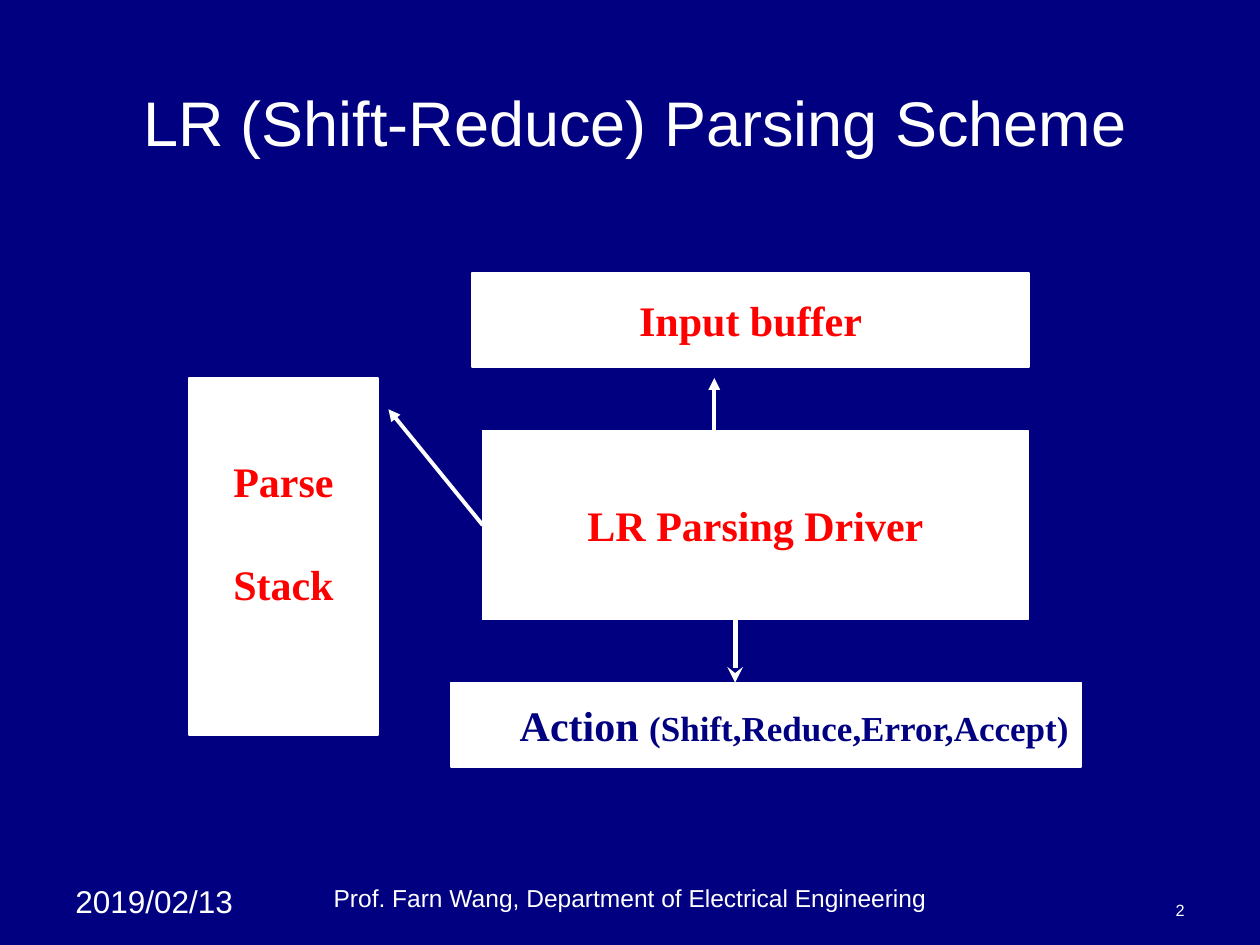
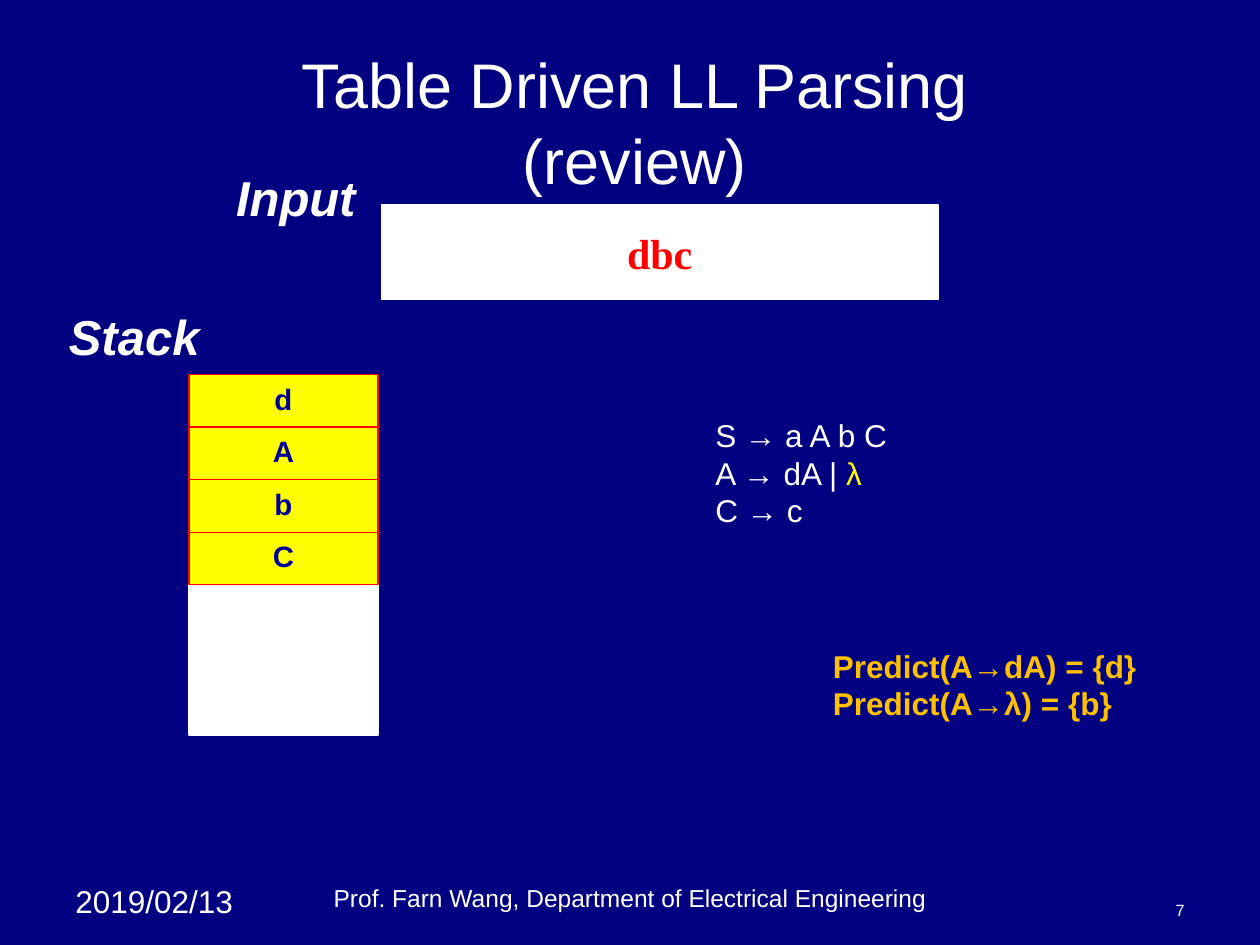
from collections import namedtuple

from lxml import etree
from pptx import Presentation
from pptx import util as u
from pptx.dml.color import RGBColor
from pptx.enum import shapes, text
from pptx.oxml import ns

NAVY = RGBColor(0x00, 0x00, 0x80)
INK = RGBColor(0x00, 0x00, 0x99)
WHITE = RGBColor(0xFF, 0xFF, 0xFF)
RED = RGBColor(0xFF, 0x00, 0x00)
YELLOW = RGBColor(0xFF, 0xFF, 0x00)
AMBER = RGBColor(0xFF, 0xC0, 0x00)
SANS = "Arial"
SERIF = "Times New Roman"
LEFT, CENTER, RIGHT = text.PP_ALIGN.LEFT, text.PP_ALIGN.CENTER, text.PP_ALIGN.RIGHT
TOP, MIDDLE, BOTTOM = text.MSO_ANCHOR.TOP, text.MSO_ANCHOR.MIDDLE, text.MSO_ANCHOR.BOTTOM

Box = namedtuple("Box", "left top width height")
Style = namedtuple("Style", "size font color bold italic", defaults=(False, False))

TITLE = Style(36, SANS, WHITE)
BLOCK = Style(24, SERIF, RED, True)
CELL = Style(16.8, SANS, INK, True)
BODY = Style(18, SANS, WHITE)
HEADING = Style(28, SANS, WHITE, True, True)
SLIDE_BOX = Box(0, 0, 25.4, 19.05)
STACK = Box(3.81, 7.62, 3.81, 7.2)


def inside(area, left, top, width, height):
    return Box(area.left + left, area.top + top, width, height)


def lengths(box):
    return [u.Cm(value) for value in box]


def add_run(paragraph, wording, style):
    run = paragraph.add_run()
    run.text = wording
    font = run.font
    font.size = u.Pt(style.size)
    font.name = style.font
    font.bold = style.bold
    font.italic = style.italic
    font.color.rgb = style.color


def write(frame, paragraphs, align=LEFT, anchor=TOP, wrap=False):
    frame.word_wrap = wrap
    frame.auto_size = text.MSO_AUTO_SIZE.NONE
    frame.vertical_anchor = anchor
    for index, runs in enumerate(paragraphs):
        paragraph = frame.add_paragraph() if index else frame.paragraphs[0]
        paragraph.alignment = align
        for wording, style in runs:
            add_run(paragraph, wording, style)


def add_text(slide, box, paragraphs, **layout):
    shape = slide.shapes.add_textbox(*lengths(box))
    write(shape.text_frame, paragraphs, **layout)


def add_rectangle(slide, box, fill=WHITE, line=WHITE, width=1):
    shape = slide.shapes.add_shape(shapes.MSO_SHAPE.RECTANGLE, *lengths(box))
    shape.shadow.inherit = False
    shape.fill.solid()
    shape.fill.fore_color.rgb = fill
    shape.line.color.rgb = line
    shape.line.width = u.Pt(width)
    return shape


def add_block(slide, box, paragraphs, align=CENTER):
    shape = add_rectangle(slide, box)
    write(shape.text_frame, paragraphs, align, MIDDLE)
    return shape


def add_arrow(slide, area, start, end, width=2.25, head="triangle"):
    points = [u.Cm(area[axis] + point[axis]) for point in (start, end) for axis in (0, 1)]
    arrow = slide.shapes.add_connector(shapes.MSO_CONNECTOR.STRAIGHT, *points)
    arrow.line.color.rgb = WHITE
    arrow.line.width = u.Pt(width)
    etree.SubElement(arrow.line._get_or_add_ln(), ns.qn("a:tailEnd"), type=head)
    etree.SubElement(arrow._element.spPr, ns.qn("a:effectLst"))
    return arrow


def add_footer(slide, area, number):
    small = BODY._replace(size=9.3)
    add_text(slide, inside(area, 1.27, 0, 4.01, 1.02), [[("2019/02/13", BODY)]])
    add_text(slide, inside(area, 5.82, 0.15, 13.77, 0.71),
             [[("Prof. Farn Wang, Department of Electrical Engineering", BODY._replace(size=14))]],
             align=CENTER, anchor=BOTTOM, wrap=True)
    add_text(slide, inside(area, 18.21, 0.33, 5.92, 0.69), [[(number, small)]],
             align=RIGHT, anchor=BOTTOM, wrap=True)


def add_titled_slide(presentation, title_lines, number):
    slide = presentation.slides.add_slide(presentation.slide_layouts[5])
    title = slide.shapes.title
    title.left, title.top, title.width, title.height = lengths(Box(1.47, 1.27, 22.66, 2.34))
    write(title.text_frame, [[]], CENTER, MIDDLE, True)
    paragraph = title.text_frame.paragraphs[0]
    for index, line in enumerate(title_lines):
        if index:
            paragraph.add_line_break()
        add_run(paragraph, line, TITLE)
    add_footer(slide, Box(0, 17.65, 25.4, 1.4), number)
    return slide


def add_parse_stack(slide, box):
    stack = add_block(slide, box, [[("Parse", BLOCK)], [("Stack", BLOCK)]])
    stack.text_frame.margin_bottom = u.Cm(1.09)
    stack.text_frame.paragraphs[1].space_before = u.Pt(30)


def add_driver_flow(slide, area):
    add_block(slide, inside(area, 0.42, 0, 11.22, 1.9), [[("Input buffer", BLOCK)]])
    driver = add_block(slide, inside(area, 0.63, 3.18, 11, 3.81), [[("LR Parsing Driver", BLOCK)]])
    action = BLOCK._replace(color=NAVY)
    add_block(slide, inside(area, 0, 8.26, 12.7, 1.7),
              [[("Action ", action), ("(Shift,Reduce,Error,Accept)", action._replace(size=20))]],
              RIGHT)
    to_stack = add_arrow(slide, area, (0.63, 5.08), (-1.27, 2.75))
    to_stack.begin_connect(driver, 1)
    add_arrow(slide, area, (5.3, 3.18), (5.3, 2.12))
    add_arrow(slide, area, (5.72, 6.99), (5.72, 8.26), 3, "stealth")


def add_symbol_stack(slide, box, symbols):
    add_rectangle(slide, box)
    height = 1.06
    for index, symbol in enumerate(symbols):
        cell = add_rectangle(slide, inside(box, 0, index * height - 0.07, box.width, height),
                             YELLOW, RED, 0.75)
        write(cell.text_frame, [[(symbol, CELL)]], CENTER, wrap=True)
    add_text(slide, inside(box, -2.67, -1.57, 3.12, 1.45), [[("Stack", HEADING)]])


def add_input(slide, box):
    add_block(slide, box, [[("dbc", BLOCK)]])
    add_text(slide, inside(box, -3.18, -0.89, 2.92, 1.45), [[("Input", HEADING)]])


def add_grammar(slide, area):
    add_text(slide, inside(area, 0, 0, 4.04, 2.54),
             [[("S → a A b C", BODY)],
              [("A → dA | ", BODY), ("λ", BODY._replace(color=YELLOW))],
              [("C → c", BODY)]])
    predict = BODY._replace(color=AMBER, bold=True)
    add_text(slide, inside(area, 2.37, 4.65, 6.63, 1.78),
             [[("Predict(A→dA) = {d}", predict)], [("Predict(A→λ) = {b}", predict)]])


def build_scheme_slide(presentation):
    slide = add_titled_slide(presentation, ["LR (Shift-Reduce) Parsing Scheme"], "2")
    add_parse_stack(slide, STACK)
    add_driver_flow(slide, Box(9.1, 5.5, 12.7, 9.96))


def build_review_slide(presentation):
    slide = add_titled_slide(presentation, ["Table Driven LL Parsing", "(review)"], "7")
    add_symbol_stack(slide, STACK, "dAbC")
    add_input(slide, Box(7.69, 4.14, 11.22, 1.9))
    add_grammar(slide, Box(14.17, 8.26, 9, 6.43))


def main():
    presentation = Presentation()
    presentation.slide_width = u.Cm(SLIDE_BOX.width)
    presentation.slide_height = u.Cm(SLIDE_BOX.height)
    background = presentation.slide_master.background.fill
    background.solid()
    background.fore_color.rgb = NAVY
    build_scheme_slide(presentation)
    build_review_slide(presentation)
    presentation.save("out.pptx")


if __name__ == "__main__":
    main()
